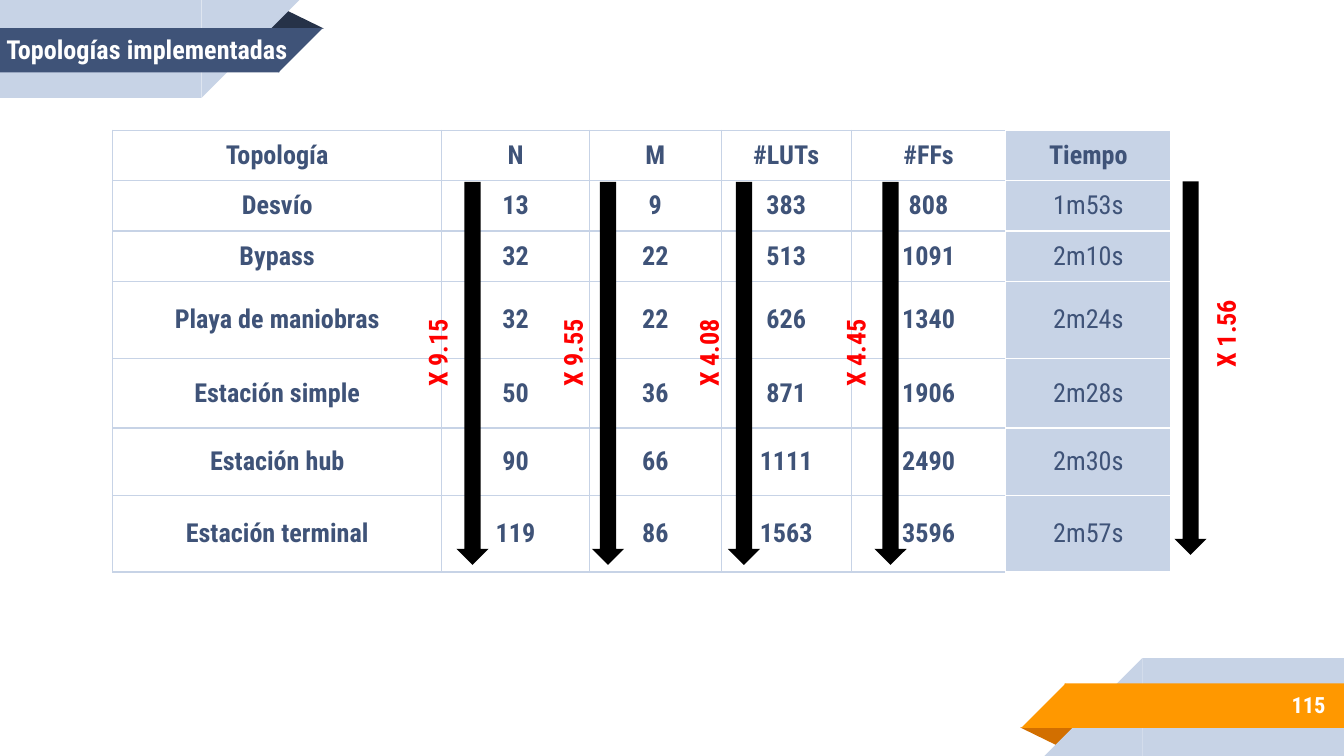
from pptx import Presentation
from pptx.dml.color import RGBColor
from pptx.enum.shapes import MSO_SHAPE as SHAPE
from pptx.enum.text import MSO_ANCHOR as ANCHOR, PP_ALIGN as ALIGN
from pptx.oxml.ns import qn
from pptx.util import Cm, Pt
from lxml.etree import SubElement

FONT = "Roboto Condensed"
WIDTH, HEIGHT = 25.4, 14.29
NAVY, DARK_NAVY, PALE = "3F5378", "263248", "C7D3E6"
ORANGE, DARK_ORANGE = "FF9800", "D26F00"
WHITE, BLACK, RED = "FFFFFF", "000000", "FF0000"

COLUMNS = [6.22, 2.79, 2.49, 2.46, 2.92, 3.12]
ROWS = [0.91, 0.91, 0.91, 1.45, 1.32, 1.27, 1.45]
DATA = [
    ["Topología", "N", "M", "#LUTs", "#FFs", "Tiempo"],
    ["Desvío", "13", "9", "383", "808", "1m53s"],
    ["Bypass", "32", "22", "513", "1091", "2m10s"],
    ["Playa de maniobras", "32", "22", "626", "1340", "2m24s"],
    ["Estación simple", "50", "36", "871", "1906", "2m28s"],
    ["Estación hub", "90", "66", "1111", "2490", "2m30s"],
    ["Estación terminal", "119", "86", "1563", "3596", "2m57s"],
]
# Growth factor and the centre of its arrow
GROWTH = [("X 9.15", 8.93), ("X 9.55", 11.49), ("X 4.08", 14.06), ("X 4.45", 16.83)]


def rgb(color):
    return RGBColor.from_string(color)


def add_run(p, text, color, size=14, bold=True):
    r = p.add_run()
    r.text = text
    r.font.name, r.font.size, r.font.bold = FONT, Pt(size), bold
    r.font.color.rgb = rgb(color)


def add_filled(s, kind, x, y, w, h, color, rotation=0):
    sp = s.shapes.add_shape(kind, Cm(x), Cm(y), Cm(w), Cm(h))
    sp.shadow.inherit = False
    sp.fill.solid()
    sp.fill.fore_color.rgb = rgb(color)
    sp.line.fill.background()
    sp.rotation = rotation
    return sp


def format_frame(tf, anchor):
    tf.word_wrap = True
    tf.vertical_anchor = anchor
    tf.margin_left = tf.margin_right = tf.margin_top = tf.margin_bottom = Cm(0.25)


def add_text(s, text, x, y, w, h, color, size=14, align=ALIGN.CENTER,
             anchor=ANCHOR.TOP, rotation=0):
    sp = s.shapes.add_textbox(Cm(x), Cm(y), Cm(w), Cm(h))
    sp.rotation = rotation
    format_frame(sp.text_frame, anchor)
    p = sp.text_frame.paragraphs[0]
    p.alignment = align
    add_run(p, text, color, size)


def add_ribbon(s, band, fold, at_bottom=False):
    """Top-left corner ribbon, or its half turn into the bottom-right corner."""
    turn = 180 if at_bottom else 0
    parts = [
        (SHAPE.ISOSCELES_TRIANGLE, 5.03, 0.18, 1.09, 0.36, fold),
        (SHAPE.RECTANGLE, 0, 0, 3.81, 1.85, PALE),
        (SHAPE.RIGHT_TRIANGLE, 3.81, 0, 1.85, 1.85, PALE),
        (SHAPE.RECTANGLE, 0, 0.53, 5.28, 0.84, band),
        (SHAPE.RIGHT_TRIANGLE, 5.26, 0.53, 0.84, 0.84, band),
    ]
    for kind, x, y, w, h, color in parts:
        if at_bottom:
            x, y = WIDTH - x - w, HEIGHT - y - h
        sp = add_filled(s, kind, x, y, w, h, color, turn)
        if kind == SHAPE.ISOSCELES_TRIANGLE:
            sp.adjustments[0] = 0.324
        else:
            sp.rotation = 180 - turn
            sp._element.spPr.xfrm.set("flipH", "1")


def add_title(s, text):
    sp = s.shapes.title
    sp.left, sp.top, sp.width, sp.height = Cm(-0.13), Cm(0.36), Cm(6.93), Cm(1.14)
    format_frame(sp.text_frame, ANCHOR.MIDDLE)
    p = sp.text_frame.paragraphs[0]
    p.alignment = ALIGN.LEFT
    add_run(p, text, WHITE)
    s.shapes._spTree.append(sp._element)  # in front of the ribbon


def set_borders(cell, left, right, top, bottom):
    tc_pr = cell._tc.get_or_add_tcPr()
    sides = zip(("a:lnL", "a:lnR", "a:lnT", "a:lnB"), (left, right, top, bottom))
    for i, (tag, color) in enumerate(sides):
        ln = SubElement(tc_pr, qn(tag), w=str(Pt(0.75)))
        SubElement(SubElement(ln, qn("a:solidFill")), qn("a:srgbClr"), val=color)
        tc_pr.insert(i, ln)  # borders come before the fill


def add_topology_table(s):
    frame = s.shapes.add_table(len(ROWS), len(COLUMNS), Cm(2.13), Cm(2.46),
                               Cm(sum(COLUMNS)), Cm(sum(ROWS)))
    table = frame.table
    table.first_row = table.horz_banding = False
    for column, width in zip(table.columns, COLUMNS):
        column.width = Cm(width)
    for row, height in zip(table.rows, ROWS):
        row.height = Cm(height)
    last = len(COLUMNS) - 1
    for i, values in enumerate(DATA):
        for j, value in enumerate(values):
            cell = table.cell(i, j)
            cell.vertical_anchor = ANCHOR.MIDDLE
            cell.margin_left = cell.margin_right = Cm(0.25)
            cell.margin_top = cell.margin_bottom = Cm(0.18)
            p = cell.text_frame.paragraphs[0]
            p.alignment = ALIGN.CENTER
            add_run(p, value, NAVY, bold=i == 0 or j < last)
            if j == last:
                cell.fill.solid()
                cell.fill.fore_color.rgb = rgb(PALE)
                set_borders(cell, WHITE, WHITE, WHITE, WHITE)
            else:
                cell.fill.background()
                right = WHITE if j == last - 1 else PALE
                set_borders(cell, PALE, right, PALE, PALE)


def add_growth(s, text, x, y=7.06, length=7.24, label_x=-0.62, label_y=-0.39):
    """Down arrow centred on x, y, with a label set off from that centre."""
    thick, w, h = 0.61, 2.24, 1.19
    add_filled(s, SHAPE.RIGHT_ARROW, x - length / 2, y - thick / 2,
               length, thick, BLACK, 90)
    add_text(s, text, x + label_x - w / 2, y + label_y - h / 2, w, h, RED, rotation=270)


def main():
    prs = Presentation()
    prs.slide_width, prs.slide_height = Cm(WIDTH), Cm(HEIGHT)
    s = prs.slides.add_slide(prs.slide_layouts[5])
    add_ribbon(s, ORANGE, DARK_ORANGE, at_bottom=True)
    add_ribbon(s, NAVY, DARK_NAVY)
    add_text(s, "115", 21.16, 12.88, 4.14, 0.89, WHITE, 12, ALIGN.RIGHT, ANCHOR.MIDDLE)
    add_topology_table(s)
    add_growth(s, "X 1.56", 22.5, 6.96, 7.06, 0.71, -0.65)
    add_title(s, "Topologías implementadas")
    for text, x in GROWTH:
        add_growth(s, text, x)
    prs.save("out.pptx")


if __name__ == "__main__":
    main()
